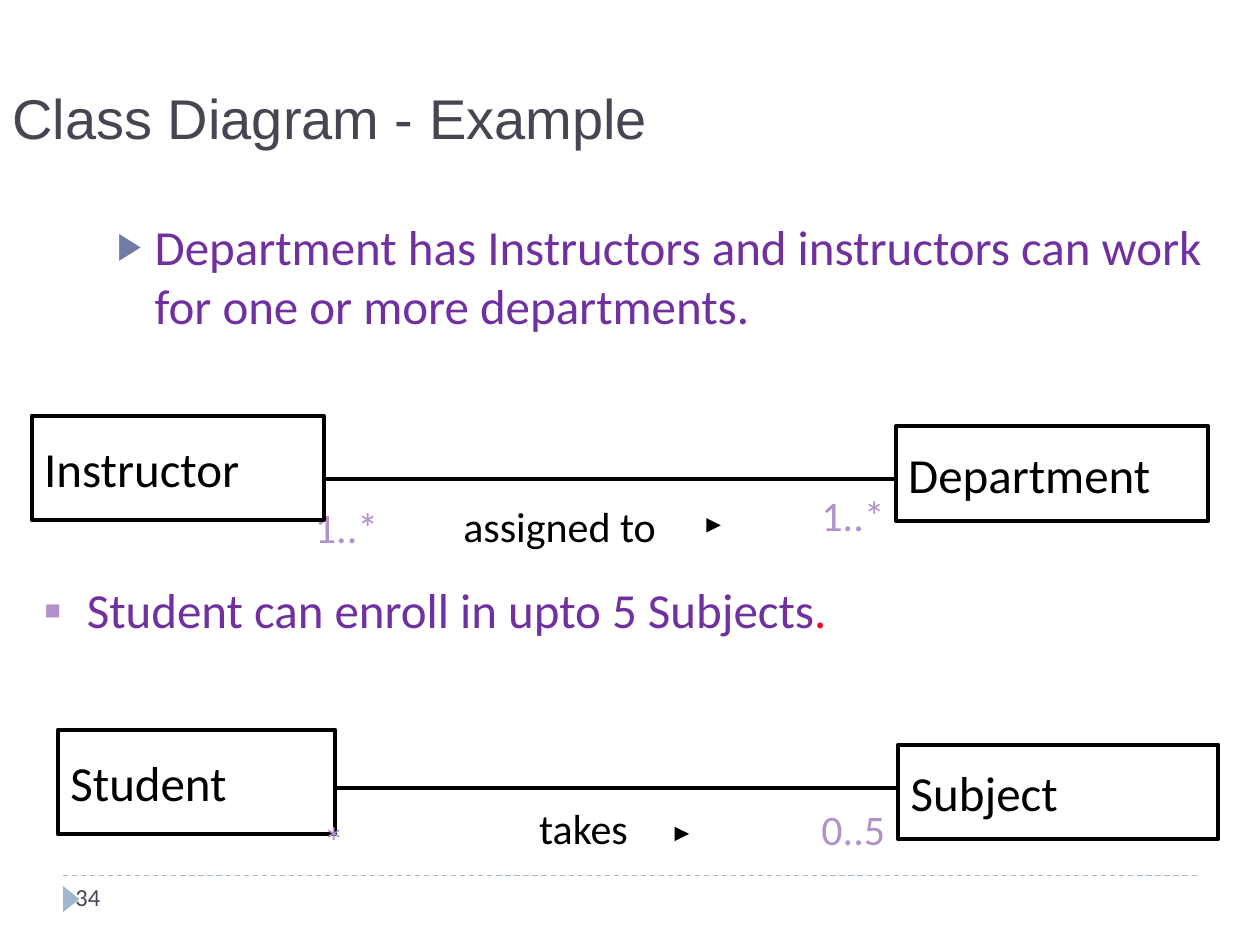
"""Build the class diagram example slide with two associations."""
from lxml.etree import SubElement
from pptx import Presentation
from pptx.dml.color import RGBColor
from pptx.enum.dml import MSO_LINE
from pptx.enum.shapes import MSO_CONNECTOR, MSO_SHAPE
from pptx.enum.text import MSO_ANCHOR as Anchor
from pptx.oxml.ns import qn
from pptx.util import Cm, Pt

COLORS = {
    "white": "FFFFFF", "black": "000000", "slate": "464653", "purple": "7030A0",
    "lilac": "B292CA", "red": "FC0128", "blue": "9FB8CD", "indigo": "727CA3",
}


def add_text(shape, text, size, color, font="Calibri", anchor=Anchor.TOP):
    frame = shape.text_frame
    frame.word_wrap = True
    frame.vertical_anchor = anchor
    frame.text = text
    para = frame.paragraphs[0]
    for span in para.runs:
        span.font.name = font
        span.font.size = Pt(size)
        span.font.color.rgb = RGBColor.from_string(COLORS[color])
    return para


def add_line(start, end, y, width, color="black"):
    line = page.shapes.add_connector(
        MSO_CONNECTOR.STRAIGHT, Cm(start), Cm(y), Cm(end), Cm(y))
    line.line.width = Pt(width)
    line.line.color.rgb = RGBColor.from_string(COLORS[color])
    SubElement(line._element.spPr, qn("a:effectLst"))
    return line


deck = Presentation()
deck.slide_width, deck.slide_height = Cm(25.4), Cm(19.05)
page = deck.slides.add_slide(deck.slide_layouts[6])

add_line(1.27, 24.13, 17.65, 0.75, "blue").line.dash_style = MSO_LINE.DASH
marker = page.shapes.add_shape(
    MSO_SHAPE.ISOSCELES_TRIANGLE, Cm(1.17), Cm(17.96), Cm(0.53), Cm(0.33))
marker.rotation = 90
marker.shadow.inherit = False
marker.fill.solid()
marker.fill.fore_color.rgb = RGBColor.from_string(COLORS["blue"])
marker.line.fill.background()

number = page.shapes.add_textbox(Cm(1.27), Cm(17.65), Cm(5.92), Cm(1.02))
add_text(number, "34", 14, "slate")
title = page.shapes.add_textbox(Cm(0), Cm(0.43), Cm(24.41), Cm(2.74))
add_text(title, "Class Diagram - Example", 32, "slate", "Arial", Anchor.BOTTOM)

statements = [
    ("Department has Instructors and instructors can work for one or more departments.",
     (2.11, 4.24, 22.43, 12.37), "▶", "indigo", 76, 0.76, 0.76, 1),
    ("Student can enroll in upto 5 Subjects",
     (0, 11.7, 25.4, 1.4), "■", "lilac", 55, 1.5, 0.85, 0.9),
]
for text, place, bullet, bullet_color, percent, margin, hanging, spacing in statements:
    box = page.shapes.add_textbox(*map(Cm, place))
    para = add_text(box, text, 28, "purple")
    para.line_spacing = spacing
    props = para._p.get_or_add_pPr()
    props.set("marL", str(Cm(margin)))
    props.set("indent", str(-Cm(hanging)))
    SubElement(SubElement(props, qn("a:buClr")), qn("a:srgbClr"), val=COLORS[bullet_color])
    SubElement(props, qn("a:buSzPct"), val=str(percent * 1000))
    SubElement(props, qn("a:buFont"), typeface="Arial")
    SubElement(props, qn("a:buChar"), char=bullet)

stop = para.add_run()
stop.text = "."
stop.font.name = "Calibri"
stop.font.size = Pt(28)
stop.font.color.rgb = RGBColor.from_string(COLORS["red"])

associations = [
    {
        "labels": [("1..*", 6.1, 9.98, 3, "lilac"), ("assigned to", 9.09, 9.96, 6.35, "black"),
                   ("1..*", 16.31, 9.75, 1.96, "lilac")],
        "classes": [("Instructor", 0.64, 8.38, 5.89, 2.11),
                    ("Department", 18.06, 8.59, 6.3, 1.91)],
        "link": (6.53, 18.06, 9.65),
        "arrow": (14.4, 14.53, 10.59),
        "labels_behind": True,
    },
    {
        "labels": [("*", 6.27, 16.31, 1.93, "lilac"), ("takes", 10.62, 16.05, 3, "black"),
                   ("0..5", 16.31, 16.08, 1.96, "lilac")],
        "classes": [("Student", 1.17, 14.71, 5.59, 2.11),
                    ("Subject", 18.11, 15.01, 6.45, 1.91)],
        "link": (6.76, 18.11, 15.88),
        "arrow": (13.67, 13.89, 16.81),
        "labels_behind": False,
    },
]
for association in associations:
    layers = ["labels", "classes"] if association["labels_behind"] else ["classes", "labels"]
    for layer in layers:
        if layer == "labels":
            for text, left, top, width, color in association["labels"]:
                label = page.shapes.add_textbox(Cm(left), Cm(top), Cm(width), Cm(1.27))
                add_text(label, text, 24, color)
        else:
            for name, *place in association["classes"]:
                box = page.shapes.add_shape(MSO_SHAPE.RECTANGLE, *map(Cm, place))
                box.shadow.inherit = False
                box.fill.solid()
                box.fill.fore_color.rgb = RGBColor.from_string(COLORS["white"])
                box.line.width = Pt(2.25)
                box.line.color.rgb = RGBColor.from_string(COLORS["black"])
                para = add_text(box, name, 28, "black", anchor=Anchor.MIDDLE)
                para.alignment = 1
    add_line(*association["link"], 2.25)
    arrow = add_line(*association["arrow"], 2.75)
    SubElement(arrow.line._get_or_add_ln(), qn("a:tailEnd"), type="triangle")

deck.save("out.pptx")
